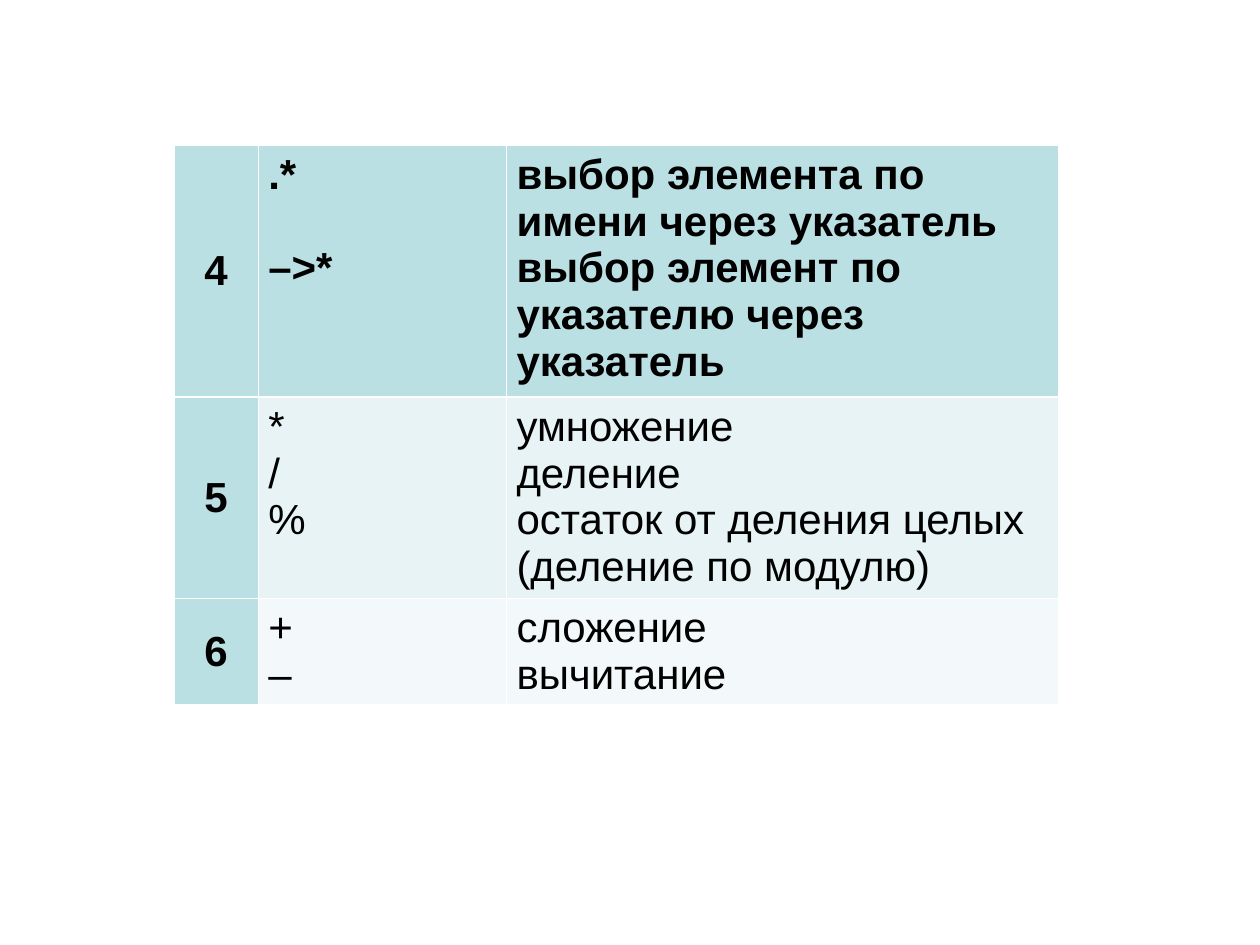
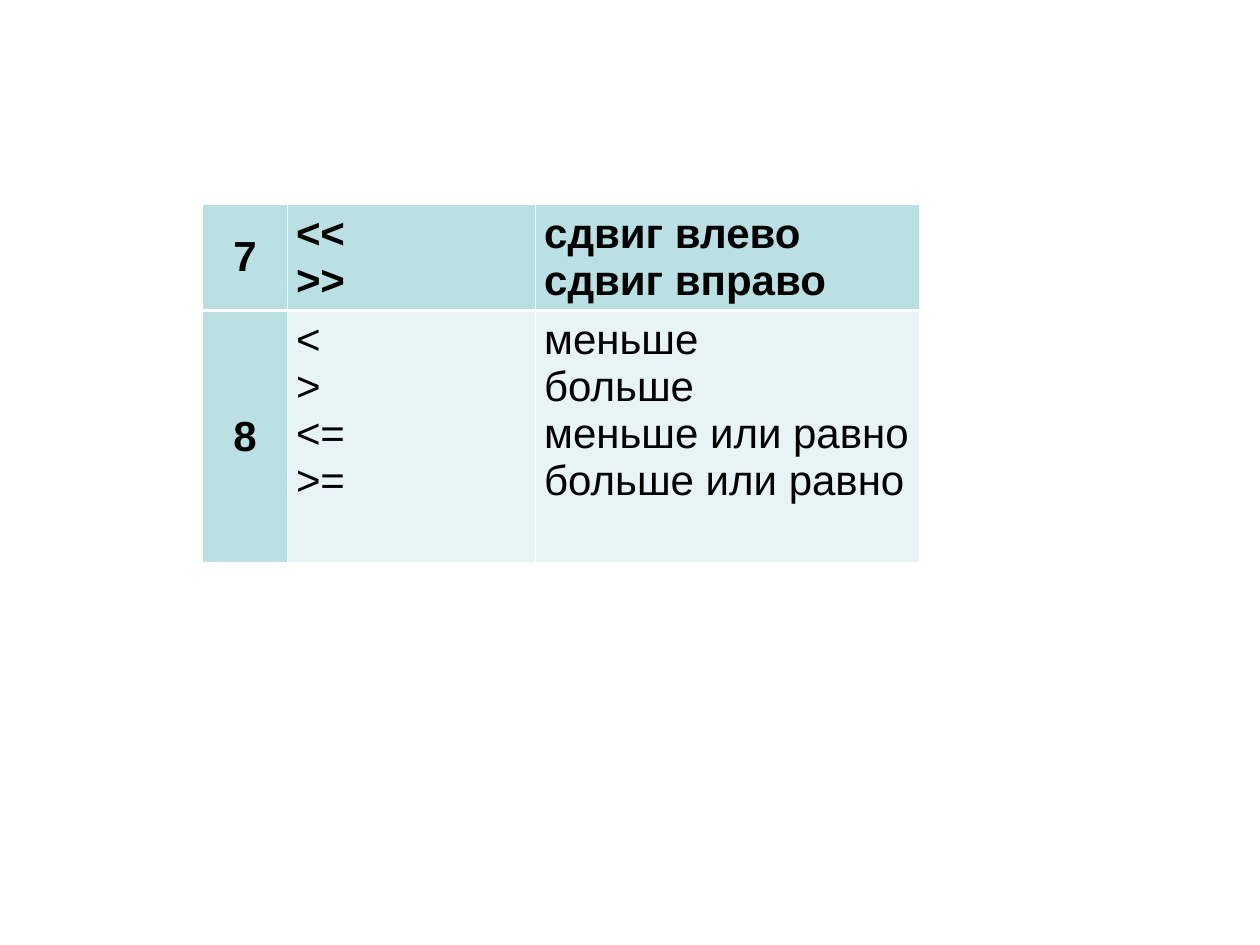
from dataclasses import dataclass

from lxml.etree import SubElement
from pptx import Presentation
from pptx.dml.color import RGBColor
from pptx.enum.text import MSO_ANCHOR, PP_ALIGN
from pptx.oxml.ns import qn
from pptx.presentation import Presentation as Deck
from pptx.table import _Cell as Cell
from pptx.util import Inches, Pt

COLORS = {
    "text": "000000",
    "border": "FFFFFF",
    "header": "BBE0E3",
    "odd_row": "E7F3F4",
    "even_row": "F3F9FA",
}
FONT = "Arial"
FONT_SIZE = 24
LINE_HEIGHT = 26.8
THIN_BORDER = 0.45
HEADER_BORDER = 1.47
PRIORITY_WIDTH = 0.67
OPERATOR_WIDTH = 1.97


@dataclass(frozen=True)
class OperatorRow:
    priority: str
    operators: list[str]
    meanings: list[str]
    height: float
    operator_gap: float = 0  # points between operators with long meanings


@dataclass(frozen=True)
class OperatorTable:
    left: float
    top: float
    meaning_width: float
    side_margin: float
    rows: list[OperatorRow]


TABLES = [
    OperatorTable(1.38, 1.15, 4.38, 0.08, [
        OperatorRow(
            "4",
            [".*", "–>*"],
            ["выбор элемента по имени через указатель",
             "выбор элемент по указателю через указатель"],
            height=2,
            operator_gap=LINE_HEIGHT,
        ),
        OperatorRow(
            "5",
            ["*", "/", "%"],
            ["умножение", "деление",
             "остаток от деления целых (деление по модулю)"],
            height=1.6,
        ),
        OperatorRow("6", ["+", "–"], ["сложение", "вычитание"], height=0.8),
    ]),
    OperatorTable(1.61, 1.62, 3.05, 0.07, [
        OperatorRow("7", ["<<", ">>"], ["сдвиг влево", "сдвиг вправо"], height=0.8),
        OperatorRow(
            "8",
            ["<", ">", "<=", ">="],
            ["меньше", "больше", "меньше или равно", "больше или равно"],
            height=2,
        ),
    ]),
]


def write_lines(cell: Cell, lines: list[str], *, bold: bool = False,
                align: PP_ALIGN = PP_ALIGN.LEFT, gap: float = 0) -> None:
    frame = cell.text_frame
    for index, line in enumerate(lines):
        paragraph = frame.add_paragraph() if index else frame.paragraphs[0]
        paragraph.alignment = align
        if index and gap:
            paragraph.space_before = Pt(gap)
        run = paragraph.add_run()
        run.text = line
        run.font.name = FONT
        run.font.size = Pt(FONT_SIZE)
        run.font.bold = bold
        run.font.color.rgb = RGBColor.from_string(COLORS["text"])


def add_borders(cell: Cell, top: float, bottom: float) -> None:
    properties = cell._tc.get_or_add_tcPr()
    widths = {"lnL": THIN_BORDER, "lnR": THIN_BORDER, "lnT": top, "lnB": bottom}
    for side, width in widths.items():
        line = SubElement(properties, qn(f"a:{side}"), w=str(Pt(width)))
        fill = SubElement(line, qn("a:solidFill"))
        SubElement(fill, qn("a:srgbClr"), val=COLORS["border"])


def style_cell(cell: Cell, row: int, column: int, side_margin: float) -> None:
    """Give a cell its borders, fill, margins and anchor by its place in the table."""
    add_borders(
        cell,
        top=HEADER_BORDER if row == 1 else THIN_BORDER,
        bottom=HEADER_BORDER if row == 0 else THIN_BORDER,
    )
    if row == 0 or column == 0:
        color = "header"
    else:
        color = "odd_row" if row % 2 else "even_row"
    cell.fill.solid()
    cell.fill.fore_color.rgb = RGBColor.from_string(COLORS[color])
    cell.margin_left = cell.margin_right = Inches(side_margin)
    cell.margin_top = cell.margin_bottom = Inches(0.05)
    cell.vertical_anchor = MSO_ANCHOR.MIDDLE if column == 0 else MSO_ANCHOR.TOP


def add_operator_slide(presentation: Deck, content: OperatorTable) -> None:
    slide = presentation.slides.add_slide(presentation.slide_layouts[6])
    widths = [PRIORITY_WIDTH, OPERATOR_WIDTH, content.meaning_width]
    table = slide.shapes.add_table(
        len(content.rows), len(widths),
        Inches(content.left), Inches(content.top),
        Inches(sum(widths)), Inches(sum(row.height for row in content.rows)),
    ).table
    table.horz_banding = False
    table.first_col = True
    for column, width in zip(table.columns, widths):
        column.width = Inches(width)

    for index, row in enumerate(content.rows):
        table.rows[index].height = Inches(row.height)
        is_header = index == 0
        priority, operators, meanings = table.rows[index].cells
        write_lines(priority, [row.priority], bold=True, align=PP_ALIGN.CENTER)
        write_lines(operators, row.operators, bold=is_header, gap=row.operator_gap)
        write_lines(meanings, row.meanings, bold=is_header)
        for column, cell in enumerate((priority, operators, meanings)):
            style_cell(cell, index, column, content.side_margin)


def main() -> None:
    presentation = Presentation()
    presentation.slide_width = Inches(10)
    presentation.slide_height = Inches(7.5)
    for content in TABLES:
        add_operator_slide(presentation, content)
    presentation.save("out.pptx")


if __name__ == "__main__":
    main()
